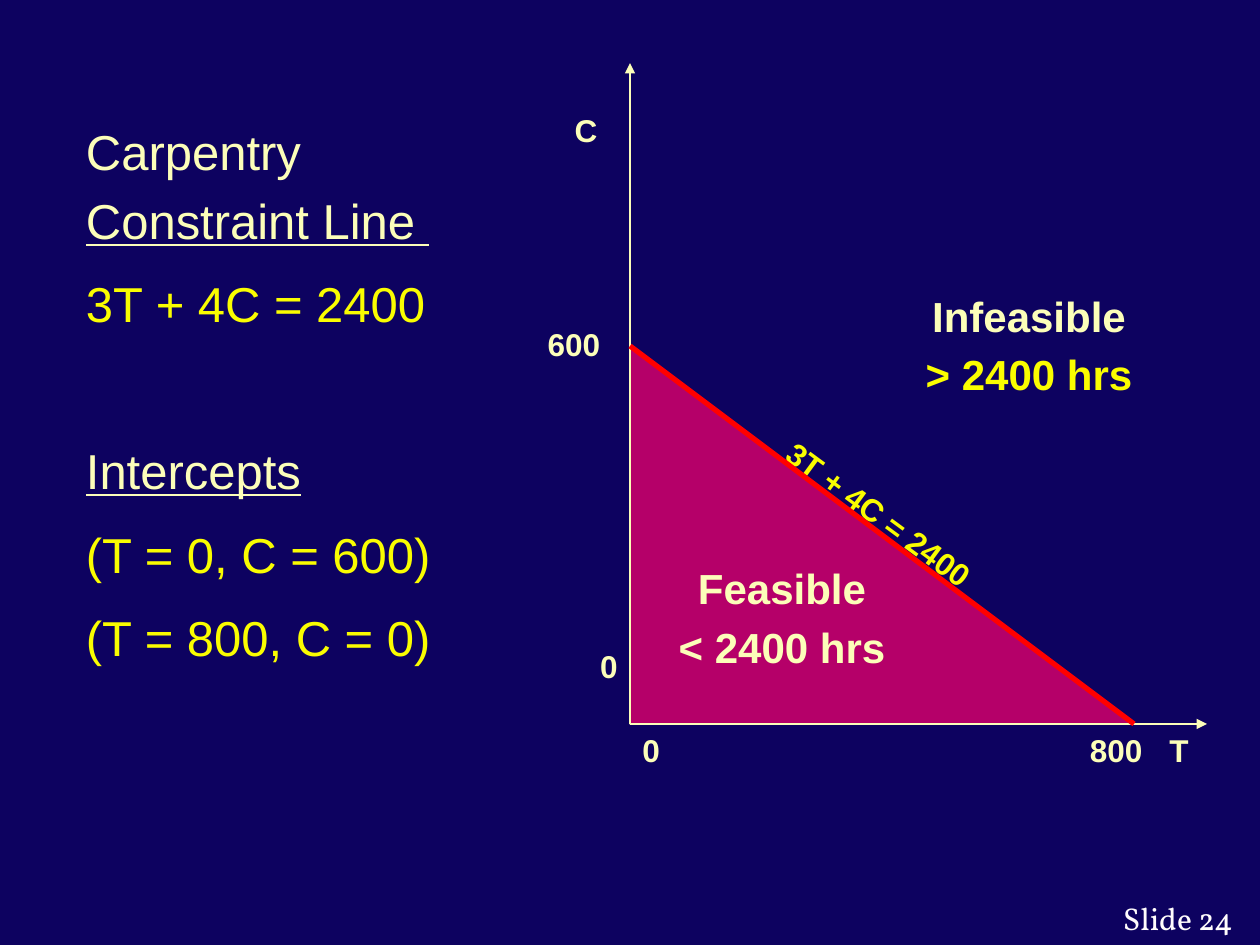
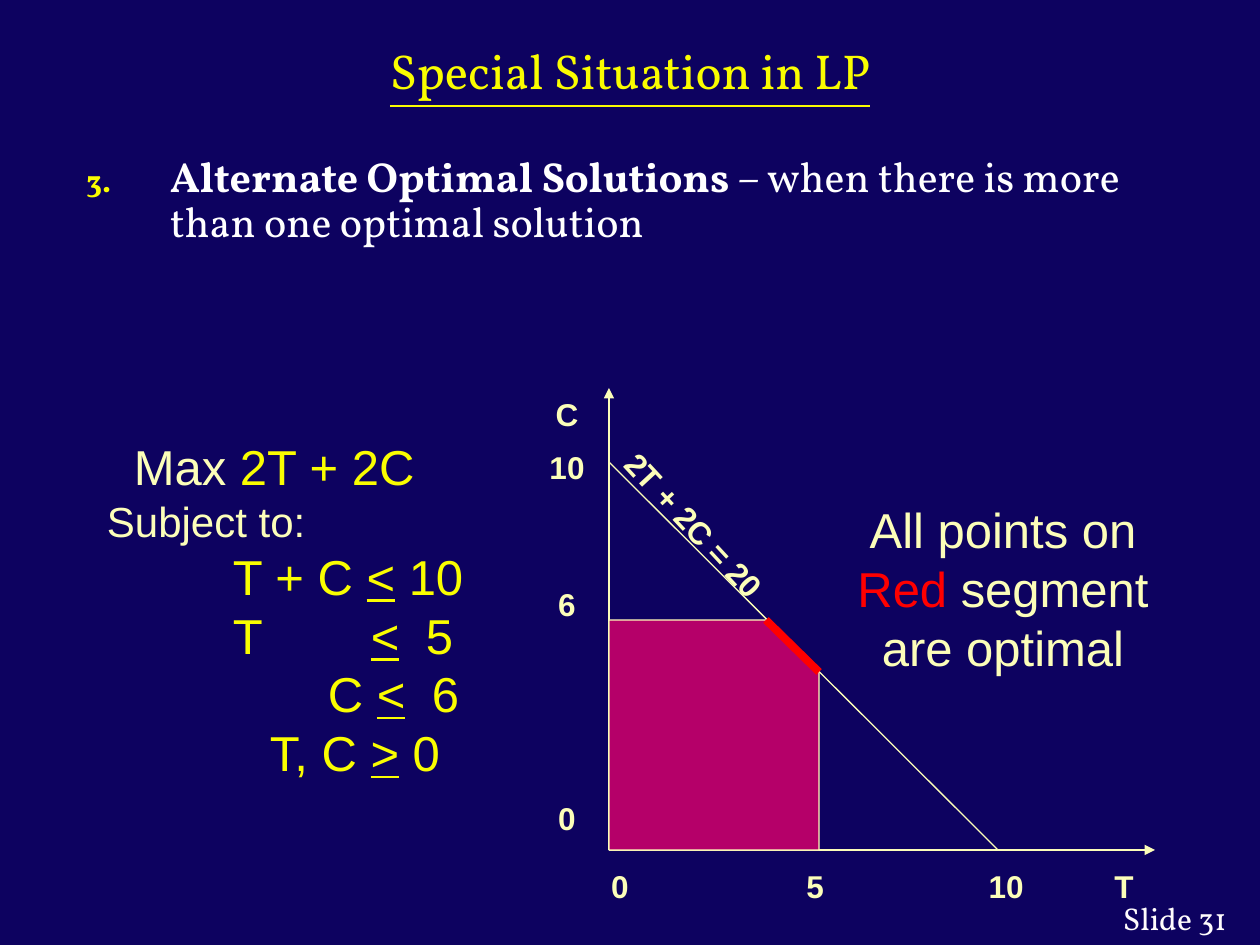
from dataclasses import dataclass
from typing import NamedTuple

from lxml.etree import SubElement
from pptx import Presentation
from pptx.dml.color import RGBColor
from pptx.enum.shapes import MSO_CONNECTOR
from pptx.enum.text import MSO_ANCHOR, PP_ALIGN
from pptx.oxml.ns import qn
from pptx.util import Pt

PX = 914400 / 126
COLORS = {
    "navy": "0D0260",
    "cream": "FCFEB9",
    "yellow": "FAFD00",
    "white": "FFFFFF",
    "footer": "FFFCFD",
    "magenta": "B50069",
    "red": "FF0000",
}


class Point(NamedTuple):
    x: int
    y: int


class Box(NamedTuple):
    left: int
    top: int
    width: int
    height: int


class Span(NamedTuple):
    text: str
    color: str = ""
    underline: bool = False
    bold: bool = False


@dataclass
class Line:
    spans: list[Span]
    size: int = 28
    color: str = "cream"
    bold: bool = False
    before: float = 0
    font: str = "Arial"
    tabs: tuple[int, ...] = ()
    number: int = 0


class Label(NamedTuple):
    text: str
    x: int
    y: int
    color: str = "cream"
    rotation: float = 0


def emu(px: float) -> int:
    return round(px * PX)


def rgb(name: str) -> RGBColor:
    return RGBColor.from_string(COLORS[name])


def add_tabs(properties, stops: tuple[int, ...]) -> None:
    tab_list = SubElement(properties, qn("a:tabLst"))
    for stop in stops:
        SubElement(tab_list, qn("a:tab"), pos=str(emu(stop)), algn="l")


def add_number(properties, start: int) -> None:
    properties.set("marL", str(emu(84)))
    properties.set("indent", str(-emu(84)))
    bullet_color = SubElement(properties, qn("a:buClr"))
    SubElement(bullet_color, qn("a:srgbClr"), val=COLORS["yellow"])
    SubElement(properties, qn("a:buSzPct"), val="75000")
    SubElement(properties, qn("a:buAutoNum"), type="arabicPeriod", startAt=str(start))


def add_text(slide, box: Box, lines: list[Line], align=PP_ALIGN.LEFT,
             anchor=MSO_ANCHOR.TOP, rotation: float = 0):
    text_box = slide.shapes.add_textbox(*map(emu, box))
    text_box.rotation = rotation
    frame = text_box.text_frame
    frame.word_wrap = True
    frame.vertical_anchor = anchor
    frame.margin_left = frame.margin_right = frame.margin_top = frame.margin_bottom = 0
    for index, line in enumerate(lines):
        paragraph = frame.paragraphs[0] if index == 0 else frame.add_paragraph()
        paragraph.alignment = align
        if line.before:
            paragraph.space_before = Pt(line.before)
        if line.number:
            paragraph.line_spacing = 0.9
            add_number(paragraph._p.get_or_add_pPr(), line.number)
        if line.tabs:
            add_tabs(paragraph._p.get_or_add_pPr(), line.tabs)
        paragraph.font.name = line.font
        paragraph.font.size = Pt(line.size)
        paragraph.font.bold = line.bold
        paragraph.font.color.rgb = rgb(line.color)
        for span in line.spans:
            run = paragraph.add_run()
            run.text = span.text
            if span.color:
                run.font.color.rgb = rgb(span.color)
            if span.underline:
                run.font.underline = True
            if span.bold:
                run.font.bold = True
    return text_box


def add_labels(slide, labels: list[Label]) -> None:
    for label in labels:
        add_text(slide, Box(label.x - 130, label.y - 20, 260, 38),
                 [Line([Span(label.text)], 18, label.color, bold=True)],
                 PP_ALIGN.CENTER, rotation=label.rotation)


def add_line(slide, start: Point, end: Point, color: str = "cream",
             width: float = 0.75, arrow: bool = False) -> None:
    connector = slide.shapes.add_connector(
        MSO_CONNECTOR.STRAIGHT, *map(emu, (*start, *end)))
    connector.line.color.rgb = rgb(color)
    connector.line.width = Pt(width)
    if arrow:
        SubElement(connector.line._get_or_add_ln(), qn("a:tailEnd"), type="triangle")
    SubElement(connector._element.spPr, qn("a:effectLst"))


def add_axes(slide, origin: Point, right: int, top: int) -> None:
    add_line(slide, origin, Point(right, origin.y), arrow=True)
    add_line(slide, origin, Point(origin.x, top), arrow=True)


def add_region(slide, corners: list[Point]) -> None:
    builder = slide.shapes.build_freeform(*corners[0], scale=PX)
    builder.add_line_segments(corners[1:], close=True)
    region = builder.convert_to_shape()
    region.shadow.inherit = False
    region.fill.solid()
    region.fill.fore_color.rgb = rgb("magenta")
    region.line.color.rgb = rgb("cream")
    region.line.width = Pt(0.75)


def add_base(deck, number: int):
    slide = deck.slides.add_slide(deck.slide_layouts[6])
    slide.background.fill.solid()
    slide.background.fill.fore_color.rgb = rgb("navy")
    footer = add_text(slide, Box(1123, 899, 130, 42),
                      [Line([Span(f"Slide {number}")], 18, "footer", font="Vollkorn")])
    run_properties = footer.text_frame.paragraphs[0].runs[0]._r.get_or_add_rPr()
    effects = SubElement(run_properties, qn("a:effectLst"))
    shadow = SubElement(effects, qn("a:outerShdw"), dist="25400", dir="2700000")
    SubElement(shadow, qn("a:srgbClr"), val="000000")
    return slide


def build_carpentry(deck) -> None:
    slide = add_base(deck, 24)
    add_text(slide, Box(86, 122, 542, 573), [
        Line([Span("Carpentry")]),
        Line([Span("Constraint Line ", underline=True)], before=5.6),
        Line([Span("3T + 4C = 2400")], color="yellow", before=14),
        Line([Span("Intercepts", underline=True)], before=61.7),
        Line([Span("(T = 0, C = 600)")], color="yellow", before=14),
        Line([Span("(T = 800, C = 0)")], color="yellow", before=14),
    ])

    origin = Point(630, 724)
    c_intercept = Point(origin.x, 346)
    t_intercept = Point(1134, origin.y)
    add_region(slide, [origin, c_intercept, t_intercept])
    add_axes(slide, origin, right=1207, top=63)
    add_labels(slide, [
        Label("C", 586, 131),
        Label("600", 574, 345),
        Label("0", 609, 667),
        Label("0", 651, 751),
        Label("800", 1116, 751),
        Label("T", 1179, 751),
        Label("3T + 4C = 2400", 879, 515, "yellow", 36.3),
    ])
    for name, limit, limit_color, left, top in (
        ("Feasible", "< 2400 hrs", "cream", 652, 563),
        ("Infeasible", "> 2400 hrs", "yellow", 899, 290),
    ):
        add_text(slide, Box(left, top, 260, 110), [
            Line([Span(name)], 24, bold=True),
            Line([Span(limit)], 24, limit_color, bold=True, before=4.8),
        ], PP_ALIGN.CENTER)
    add_line(slide, c_intercept, t_intercept, "red", 3)


def constraint(left_side: str, sign: str, right_side: str, *tabs: int) -> Line:
    return Line([Span(left_side), Span(sign, underline=True), Span(right_side)],
                color="yellow", tabs=tabs)


def build_alternate_optima(deck) -> None:
    slide = add_base(deck, 31)
    add_text(slide, Box(73, 14, 1114, 112),
             [Line([Span("Special Situation in LP", underline=True)],
                   color="yellow", font="Vollkorn")],
             PP_ALIGN.CENTER, MSO_ANCHOR.MIDDLE)
    add_text(slide, Box(86, 156, 1091, 208), [
        Line([Span("Alternate Optimal Solutions", bold=True),
              Span(" – when there is more than one optimal solution")],
             24, "white", font="Vollkorn", number=3),
    ])
    add_text(slide, Box(107, 437, 426, 346), [
        Line([Span("\tMax "), Span("2T + 2C", "yellow")], tabs=(27,)),
        Line([Span("Subject to:")], 24),
        constraint("\tT + C ", "<", " 10", 126),
        constraint("\tT\t", "<", "\t5", 126, 264, 319),
        constraint("\tC ", "<", "\t6", 221, 325),
        constraint("\tT, C ", ">", " 0", 163),
    ])

    origin = Point(609, 850)
    c_limit = Point(origin.x, 620)
    optimal_start = Point(766, c_limit.y)
    optimal_end = Point(819, 672)
    t_limit = Point(optimal_end.x, origin.y)
    add_axes(slide, origin, right=1155, top=388)
    add_line(slide, Point(998, origin.y), Point(origin.x, 462))
    add_region(slide, [origin, c_limit, optimal_start, optimal_end, t_limit])
    add_labels(slide, [Label(tick, 567, y) for tick, y in
                       (("C", 415), ("10", 468), ("6", 605), ("0", 819))])
    add_labels(slide, [Label(tick, x, 887) for tick, x in
                       (("0", 620), ("5", 815), ("10", 1006), ("T", 1124))])
    add_labels(slide, [Label("2T + 2C = 20", 694, 526, rotation=47.1)])
    add_line(slide, optimal_start, optimal_end, "red", 4.5)
    add_text(slide, Box(853, 500, 300, 177), [
        Line([Span("All points on "), Span("Red", "red"), Span(" segment are optimal")]),
    ], PP_ALIGN.CENTER)


def main() -> None:
    deck = Presentation()
    deck.slide_width = emu(1260)
    deck.slide_height = emu(945)
    build_carpentry(deck)
    build_alternate_optima(deck)
    deck.save("out.pptx")


if __name__ == "__main__":
    main()
